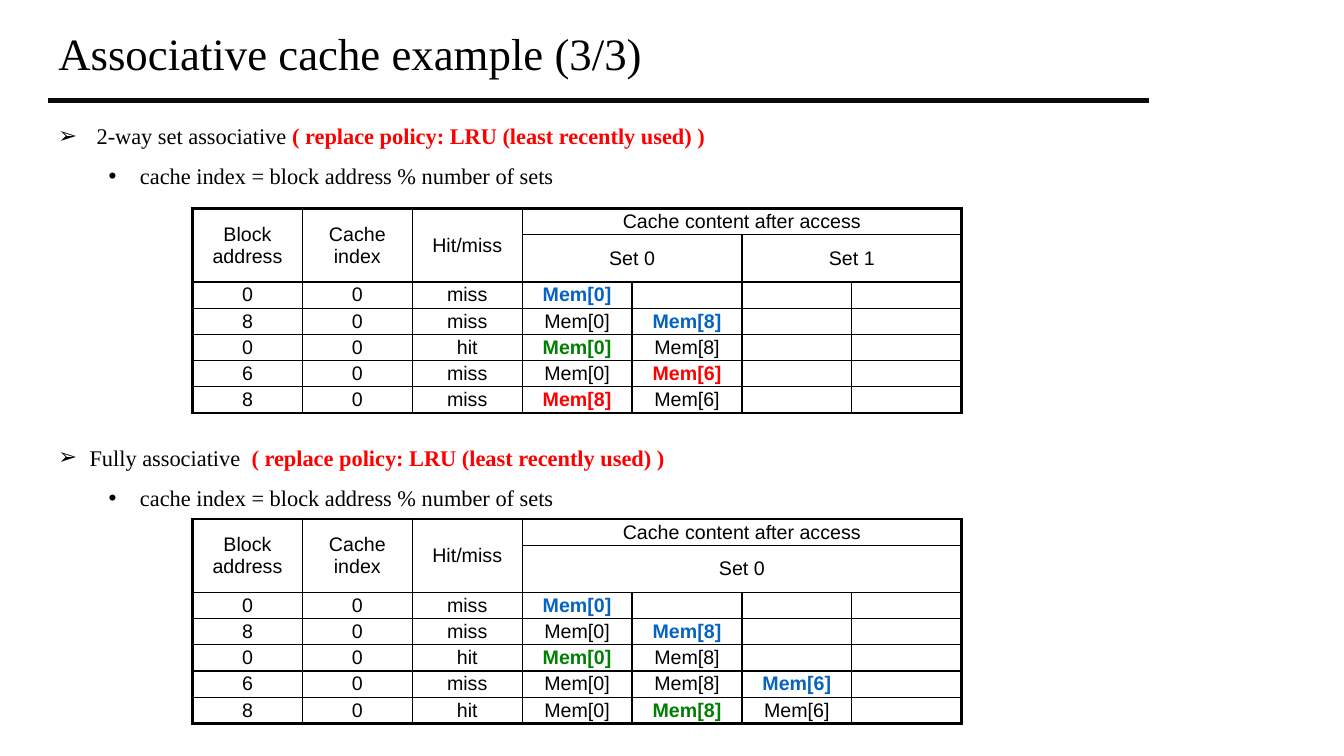
from lxml import etree
from pptx import Presentation
from pptx.dml.color import RGBColor
from pptx.enum.shapes import MSO_CONNECTOR as Connector
from pptx.enum.text import MSO_ANCHOR as Anchor, PP_ALIGN as Align
from pptx.oxml.ns import qn
from pptx.util import Inches, Pt

COLORS = {"black": "000000", "rule": "0C0C0C", "red": "FF0000",
          "blue": "0563C1", "green": "008000"}
LEFT = 0.48


def write(paragraph, text, size=16, font="Times New Roman", color="black", bold=False):
    run = paragraph.add_run()
    run.text = text
    run.font.size = Pt(size)
    run.font.name = font
    run.font.bold = bold
    run.font.color.rgb = RGBColor.from_string(COLORS[color])


def add_xml(parent, tag, **attributes):
    return etree.SubElement(parent, qn(tag), attributes)


presentation = Presentation()
presentation.slide_width = Inches(13.33)
presentation.slide_height = Inches(7.5)
slide = presentation.slides.add_slide(presentation.slide_layouts[6])

# Title
title = slide.shapes.add_textbox(Inches(LEFT), Inches(0.13), Inches(10.8), Inches(0.86))
title.text_frame.word_wrap = True
title.text_frame.vertical_anchor = Anchor.MIDDLE
paragraph = title.text_frame.paragraphs[0]
paragraph.line_spacing = 0.9
write(paragraph, "Associative cache example (3/3)", size=32)

# Rule under the title
rule = slide.shapes.add_connector(Connector.STRAIGHT, Inches(LEFT), Inches(1),
                                  Inches(11.4), Inches(1))
rule.line.color.rgb = RGBColor.from_string(COLORS["rule"])
rule.line.width = Pt(3.75)
add_xml(rule._element.spPr, "a:effectLst")

# One section per cache: text top, heading, heading indent, table top, sets, accesses
# A highlighted cell is written as "text/color"
SECTIONS = [
    (1.03, "2-way set associative ", 0.38, 2.07, ["Set 0", "Set 1"], [
        ["0", "0", "miss", "Mem[0]/blue", "", "", ""],
        ["8", "0", "miss", "Mem[0]", "Mem[8]/blue", "", ""],
        ["0", "0", "hit", "Mem[0]/green", "Mem[8]", "", ""],
        ["6", "0", "miss", "Mem[0]", "Mem[6]/red", "", ""],
        ["8", "0", "miss", "Mem[8]/red", "Mem[6]", "", ""]]),
    (4.22, "Fully associative  ", 0.31, 5.15, ["Set 0"], [
        ["0", "0", "miss", "Mem[0]/blue", "", "", ""],
        ["8", "0", "miss", "Mem[0]", "Mem[8]/blue", "", ""],
        ["0", "0", "hit", "Mem[0]/green", "Mem[8]", "", ""],
        ["6", "0", "miss", "Mem[0]", "Mem[8]", "Mem[6]/blue", ""],
        ["8", "0", "hit", "Mem[0]", "Mem[8]/green", "Mem[6]", ""]]),
]
POLICY = "( replace policy: LRU (least recently used) )"
INDEX_RULE = "cache index = block address % number of sets"
ROWS, COLUMNS, WAYS = 7, 7, 4
FIRST_WAY = COLUMNS - WAYS
COLUMN_WIDTH, ROW_HEIGHT = 1.09, 0.26

for text_top, heading, heading_indent, table_top, sets, accesses in SECTIONS:
    # Heading and index rule
    box = slide.shapes.add_textbox(Inches(LEFT), Inches(text_top), Inches(10.92), Inches(0.9))
    frame = box.text_frame
    frame.word_wrap = True
    bullets = [("➢", heading_indent, heading_indent, [(heading, "black"), (POLICY, "red")]),
               ("•", 0.81, 0.31, [(INDEX_RULE, "black")])]
    for number, (bullet, margin, hanging, runs) in enumerate(bullets):
        paragraph = frame.add_paragraph() if number else frame.paragraphs[0]
        paragraph.level = number
        paragraph.line_spacing = 1.5
        properties = paragraph._p.get_or_add_pPr()
        properties.set("marL", str(Inches(margin)))
        properties.set("indent", str(-Inches(hanging)))
        add_xml(properties, "a:buFont", typeface="Arial")
        add_xml(properties, "a:buChar", char=bullet)
        for text, color in runs:
            write(paragraph, text, color=color, bold=color == "red")

    # Cache table
    table = slide.shapes.add_table(ROWS, COLUMNS, Inches(1.91), Inches(table_top),
                                   Inches(COLUMN_WIDTH * COLUMNS),
                                   Inches(ROW_HEIGHT * ROWS)).table
    table.first_row = table.horz_banding = False
    for column in table.columns:
        column.width = Inches(COLUMN_WIDTH)
    for row in table.rows:
        row.height = Inches(ROW_HEIGHT)

    # Header spans
    for column in range(FIRST_WAY):
        table.cell(0, column).merge(table.cell(1, column))
    table.cell(0, FIRST_WAY).merge(table.cell(0, COLUMNS - 1))
    set_width = WAYS // len(sets)
    set_row = [""] * COLUMNS
    for number, name in enumerate(sets):
        start = FIRST_WAY + number * set_width
        set_row[start] = name
        table.cell(1, start).merge(table.cell(1, start + set_width - 1))
    header = ["Block address", "Cache index", "Hit/miss", "Cache content after access", "", "", ""]

    # Cell text and borders
    for row, values in enumerate([header, set_row] + accesses):
        for column, value in enumerate(values):
            cell = table.cell(row, column)
            cell.vertical_anchor = Anchor.MIDDLE
            cell.margin_top = cell.margin_bottom = 0
            paragraph = cell.text_frame.paragraphs[0]
            paragraph.alignment = Align.CENTER
            spacing = add_xml(paragraph._p.get_or_add_pPr(), "a:spcBef")
            add_xml(spacing, "a:spcPct", val="20000")
            text, _, color = value.partition("/") if "Mem" in value else (value, "", "")
            if text:
                write(paragraph, text, size=14, font="Arial",
                      color=color or "black", bold=bool(color))
            else:
                add_xml(paragraph._p, "a:endParaRPr", sz="1400")

            last_column = column + (cell.span_width if cell.is_merge_origin else 1)
            outer_edges = {"a:lnL": column == 0, "a:lnR": last_column == COLUMNS,
                           "a:lnT": row == 0, "a:lnB": row == ROWS - 1}
            for edge, is_outer in outer_edges.items():
                border = add_xml(cell._tc.get_or_add_tcPr(), edge,
                                 w=str(Pt(2.25 if is_outer else 1)))
                add_xml(add_xml(border, "a:solidFill"), "a:srgbClr", val=COLORS["black"])
            cell.fill.background()

presentation.save("out.pptx")
